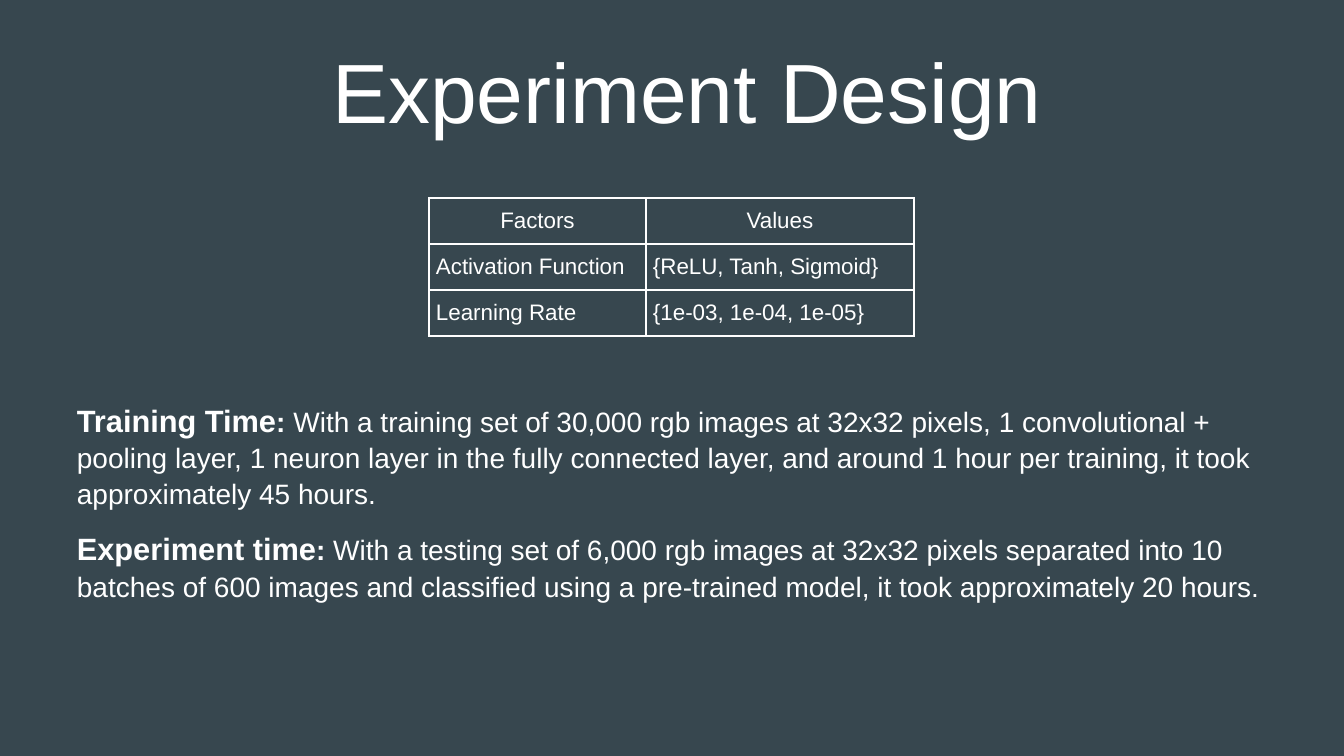
from lxml import etree
from pptx import Presentation
from pptx import util as u
from pptx.dml.color import RGBColor
from pptx.enum import text
from pptx.oxml.ns import qn

SLATE = RGBColor(0x37, 0x47, 0x4F)
WHITE = RGBColor(0xFF, 0xFF, 0xFF)
WIDTH, HEIGHT = 1344, 756
EMU_PER_PX = 12192000 / WIDTH

FACTORS = [
    ("Factors", "Values"),
    ("Activation Function", "{ReLU, Tanh, Sigmoid}"),
    ("Learning Rate", "{1e-03, 1e-04, 1e-05}"),
]
TIMES = [
    ("Training Time", "With a training set of 30,000 rgb images at 32x32 pixels, "
     "1 convolutional + pooling layer, 1 neuron layer in the fully connected layer, "
     "and around 1 hour per training, it took approximately 45 hours."),
    ("Experiment time", "With a testing set of 6,000 rgb images at 32x32 pixels "
     "separated into 10 batches of 600 images and classified using a pre-trained "
     "model, it took approximately 20 hours."),
]


def px(length):
    return u.Emu(round(length * EMU_PER_PX))


def assign(target, **values):
    for name, value in values.items():
        setattr(target, name, value)


class SlideBuilder:
    """Holds the style and the current slide, and adds its elements."""

    def __init__(self, presentation, background, color, font_name):
        self.color = color
        self.font_name = font_name
        self.slide = presentation.slides.add_slide(presentation.slide_layouts[5])
        self.slide.background.fill.solid()
        self.slide.background.fill.fore_color.rgb = background

    def run(self, paragraph, content, size, bold=False):
        run = paragraph.add_run()
        run.text = content
        assign(run.font, name=self.font_name, size=u.Pt(size), bold=bold)
        run.font.color.rgb = self.color

    def title(self, content, left, top, width, height, size):
        shape = self.slide.shapes.title
        assign(shape, left=px(left), top=px(top), width=px(width), height=px(height))
        assign(shape.text_frame, word_wrap=True, auto_size=text.MSO_AUTO_SIZE.NONE,
               vertical_anchor=text.MSO_ANCHOR.BOTTOM)
        paragraph = shape.text_frame.paragraphs[0]
        assign(paragraph, alignment=text.PP_ALIGN.CENTER, line_spacing=0.9)
        self.run(paragraph, content, size)

    def border(self, cell):
        properties = cell._tc.get_or_add_tcPr()
        for position, side in enumerate(("a:lnL", "a:lnR", "a:lnT", "a:lnB")):
            line = etree.Element(qn(side), w=str(u.Pt(1)))
            fill = etree.SubElement(line, qn("a:solidFill"))
            etree.SubElement(fill, qn("a:srgbClr"), val=str(self.color))
            properties.insert(position, line)

    def table(self, rows, left, top, column_widths, row_height, size):
        frame = self.slide.shapes.add_table(
            len(rows), len(column_widths), px(left), px(top),
            px(sum(column_widths)), px(row_height * len(rows)))
        table = frame.table
        assign(table, first_row=False, horz_banding=False)
        for column, width in zip(table.columns, column_widths):
            column.width = px(width)
        for row_index, row in enumerate(rows):
            table.rows[row_index].height = px(row_height)
            for column_index, content in enumerate(row):
                cell = table.cell(row_index, column_index)
                assign(cell, margin_left=px(7), margin_right=px(7),
                       margin_top=px(10), margin_bottom=px(10))
                cell.fill.background()
                self.border(cell)
                paragraph = cell.text_frame.paragraphs[0]
                if row_index == 0:
                    paragraph.alignment = text.PP_ALIGN.CENTER
                self.run(paragraph, content, size)

    def labelled_text(self, items, left, top, width, height, label_size, size):
        box = self.slide.shapes.add_textbox(px(left), px(top), px(width), px(height))
        frame = box.text_frame
        assign(frame, word_wrap=True, auto_size=text.MSO_AUTO_SIZE.SHAPE_TO_FIT_TEXT)
        for index, (label, content) in enumerate(items):
            paragraph = frame.add_paragraph() if index else frame.paragraphs[0]
            assign(paragraph, line_spacing=1.07, space_before=u.Pt(12 if index else 0))
            self.run(paragraph, label, label_size, bold=True)
            self.run(paragraph, ": ", size, bold=True)
            self.run(paragraph, content, size)


def main():
    presentation = Presentation()
    assign(presentation, slide_width=px(WIDTH), slide_height=px(HEIGHT))
    builder = SlideBuilder(presentation, SLATE, WHITE, "Arial")
    builder.title("Experiment Design", 183, 44, 1008, 103, size=60)
    builder.table(FACTORS, 429, 198, (217, 268), 46, size=16)
    builder.labelled_text(TIMES, 67, 394, 1211, 204, label_size=22, size=20)
    presentation.save("out.pptx")


if __name__ == "__main__":
    main()
